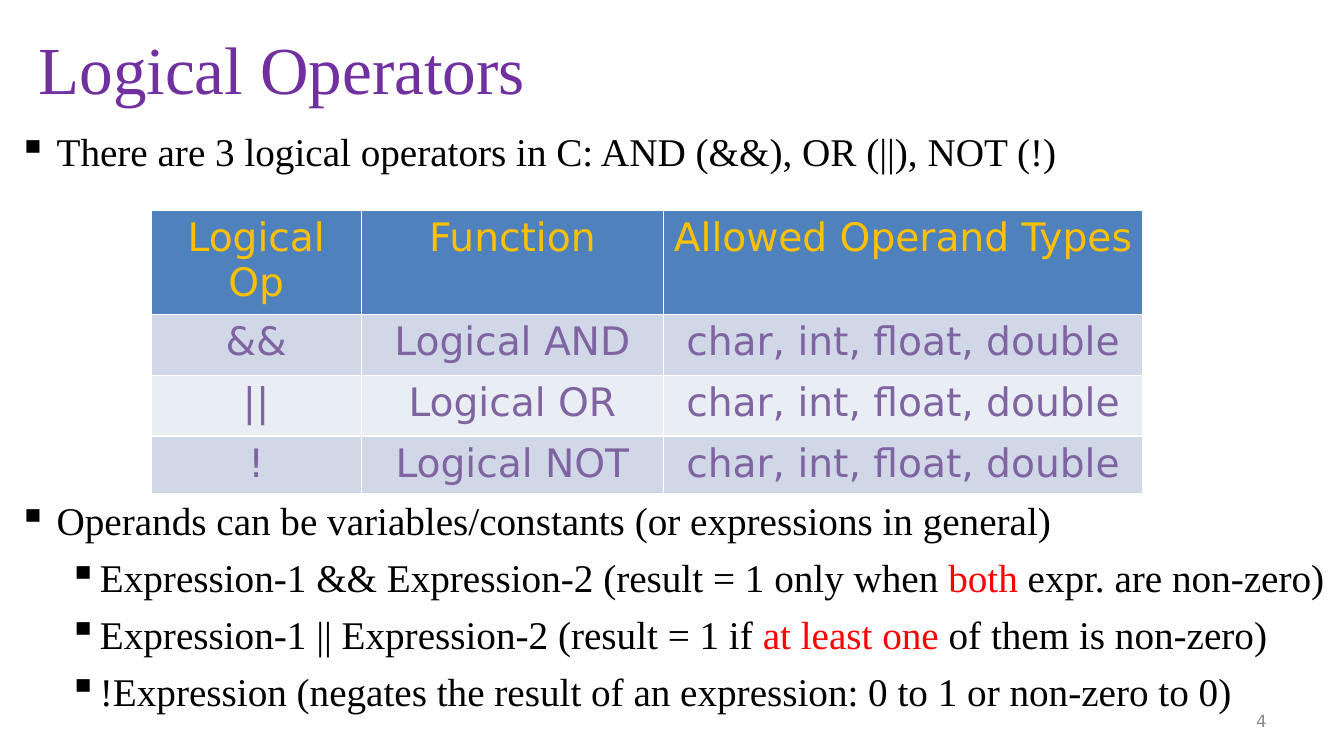
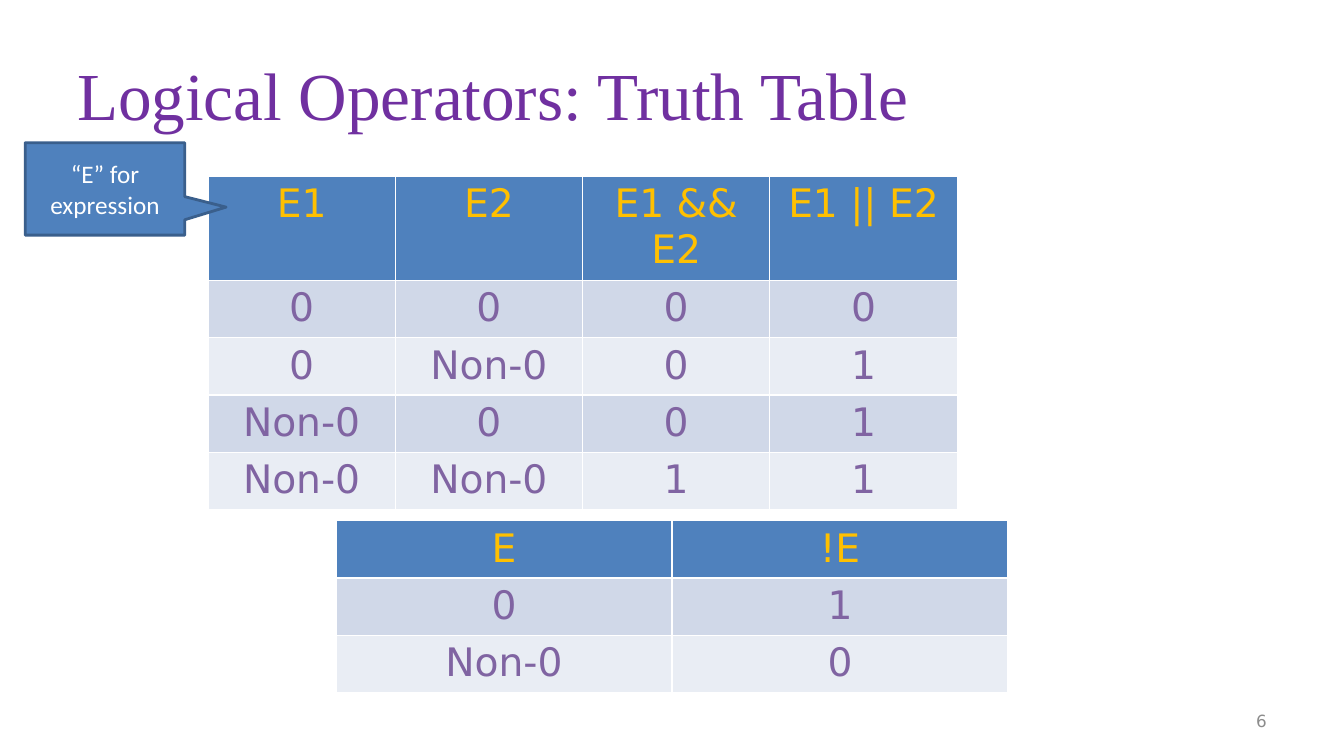
from dataclasses import dataclass
from typing import Sequence

from lxml import etree
from pptx import Presentation
from pptx.dml.color import RGBColor
from pptx.enum import shapes, text
from pptx.oxml import ns
from pptx.util import Emu, Inches, Pt

# Shared look: a grid of 160 columns by 90 rows, colours and fonts
COLUMNS, ROWS, CELLS_PER_INCH = 160, 90, 12
PURPLE, BLACK, RED, GREY, WHITE = "7030A0", "000000", "FF0000", "8C8C8C", "FFFFFF"
BLUE, EDGE_BLUE, GOLD, VIOLET = "4F81BD", "3A5F8C", "FFC000", "8064A2"
BANDS = ("D0D8E8", "E9EDF4")
SERIF, SANS, LABEL = "Times New Roman", "DejaVu Sans", "Calibri"
CENTER, RIGHT = text.PP_ALIGN.CENTER, text.PP_ALIGN.RIGHT
MIDDLE = text.MSO_ANCHOR.MIDDLE


@dataclass(frozen=True)
class Area:
    left: float
    top: float
    width: float
    height: float

    def lengths(self) -> tuple:
        return tuple(map(grid, (self.left, self.top, self.width, self.height)))


@dataclass(frozen=True)
class Style:
    font: str
    size: float
    color: str


@dataclass(frozen=True)
class Grid:
    left: float
    top: float
    widths: Sequence[float]
    heights: Sequence[float]
    entries: Sequence[Sequence[str]]


@dataclass(frozen=True)
class Bullet:
    before: str
    stressed: str = ""
    after: str = ""
    level: int = 0


TITLE = Style(SERIF, 48, PURPLE)
BODY = Style(SERIF, 28, BLACK)
STRESSED = Style(SERIF, 28, RED)
HEADER = Style(SANS, 28, GOLD)
ENTRY = Style(SANS, 28, VIOLET)
NUMBER = Style(SANS, 12, GREY)
CALLOUT = Style(LABEL, 18, WHITE)
INDENTS = ((0.38, -0.38), (0.81, -0.31))  # left margin and hanging, inches
NUMBER_AREA = Area(114.7, 83.4, 37.3, 4.8)


def grid(count: float) -> Emu:
    return Inches(count / CELLS_PER_INCH)


def rgb(color: str) -> RGBColor:
    return RGBColor.from_string(color)


def style_runs(paragraph, style: Style) -> None:
    for run in paragraph.runs:
        run.font.name, run.font.size = style.font, Pt(style.size)
        run.font.bold = False
        run.font.color.rgb = rgb(style.color)


def write(frame, words: str, style: Style, align=None, anchor=None) -> None:
    frame.text = words
    frame.word_wrap = True
    if anchor is not None:
        frame.vertical_anchor = anchor
    for paragraph in frame.paragraphs:
        paragraph.alignment = align
        style_runs(paragraph, style)


def add_line(slide, area: Area, words: str, style: Style, align=None) -> None:
    box = slide.shapes.add_textbox(*area.lengths())
    write(box.text_frame, words, style, align, MIDDLE)


def add_bullets(slide, area: Area, bullets: Sequence[Bullet]) -> None:
    frame = slide.shapes.add_textbox(*area.lengths()).text_frame
    frame.word_wrap = True
    for index, bullet in enumerate(bullets):
        paragraph = frame.add_paragraph() if index else frame.paragraphs[0]
        paragraph.level = bullet.level
        paragraph.space_after = Pt(7)
        for part in filter(None, (bullet.before, bullet.stressed, bullet.after)):
            paragraph.add_run().text = part
        style_runs(paragraph, BODY)
        if bullet.stressed:
            paragraph.runs[1].font.color.rgb = rgb(STRESSED.color)
        margin, hanging = INDENTS[bullet.level]
        properties = paragraph._p.get_or_add_pPr()
        properties.set("marL", str(Inches(margin)))
        properties.set("indent", str(Inches(hanging)))
        etree.SubElement(properties, ns.qn("a:buChar")).set("char", "\u25aa")


def add_borders(cell, color: str, points: float) -> None:
    properties = cell._tc.get_or_add_tcPr()
    for position, side in enumerate(("a:lnL", "a:lnR", "a:lnT", "a:lnB")):
        border = etree.Element(ns.qn(side), w=str(Pt(points)))
        fill = etree.SubElement(border, ns.qn("a:solidFill"))
        etree.SubElement(fill, ns.qn("a:srgbClr")).set("val", color)
        properties.insert(position, border)


def add_grid(slide, spec: Grid) -> None:
    area = Area(spec.left, spec.top, sum(spec.widths), sum(spec.heights))
    table = slide.shapes.add_table(
        len(spec.heights), len(spec.widths), *area.lengths()).table
    for column, width in zip(table.columns, spec.widths):
        column.width = grid(width)
    for index, (row, height) in enumerate(zip(table.rows, spec.heights)):
        row.height = grid(height)
        for cell, words in zip(row.cells, spec.entries[index]):
            write(cell.text_frame, words, ENTRY if index else HEADER, CENTER)
            cell.fill.solid()
            cell.fill.fore_color.rgb = rgb(BANDS[(index - 1) % 2] if index else BLUE)
            add_borders(cell, WHITE, 1)


def add_callout(slide, area: Area, words: str, tip: Sequence[float]) -> None:
    callout = slide.shapes.add_shape(
        shapes.MSO_SHAPE.RECTANGULAR_CALLOUT, *area.lengths())
    callout.shadow.inherit = False
    callout.adjustments[0], callout.adjustments[1] = tip
    callout.fill.solid()
    callout.fill.fore_color.rgb = rgb(BLUE)
    callout.line.color.rgb = rgb(EDGE_BLUE)
    callout.line.width = Pt(2)
    write(callout.text_frame, words, CALLOUT, CENTER, MIDDLE)


def start_slide(deck, title: str, title_area: Area, number: int):
    slide = deck.slides.add_slide(deck.slide_layouts[6])
    add_line(slide, title_area, title, TITLE)
    add_line(slide, NUMBER_AREA, str(number), NUMBER, RIGHT)
    return slide


deck = Presentation()
deck.slide_width, deck.slide_height = grid(COLUMNS), grid(ROWS)

# Logical operators
OPERANDS = "char, int, float, double"
operators = start_slide(deck, "Logical Operators", Area(3.4, 2, 102, 12), 4)
add_grid(operators, Grid(18, 25, (25, 36, 57), (12, 7.25, 7.25, 6.6), (
    ("Logical Op", "Function", "Allowed Operand Types"),
    ("&&", "Logical AND", OPERANDS),
    ("||", "Logical OR", OPERANDS),
    ("!", "Logical NOT", OPERANDS),
)))
add_bullets(operators, Area(1, 14.6, 158, 8), (
    Bullet("There are 3 logical operators in C: AND (&&), OR (||), NOT (!)"),
))
add_bullets(operators, Area(1, 58.5, 158, 28), (
    Bullet("Operands can be variables/constants (or expressions in general)"),
    Bullet("Expression-1 && Expression-2 (result = 1 only when ",
           "both", " expr. are non-zero)", 1),
    Bullet("Expression-1 || Expression-2 (result = 1 if ",
           "at least one ", "of them is non-zero)", 1),
    Bullet("!Expression (negates the result of an expression: "
           "0 to 1 or non-zero to 0)", level=1),
))

# Truth tables
NON_ZERO = "Non-0"
truth = start_slide(
    deck, "Logical Operators: Truth Table", Area(8, 3.6, 144, 15), 6)
add_grid(truth, Grid(24.75, 21, (22.3,) * 4, (12,) + (6.64,) * 4, (
    ("E1", "E2", "E1 && E2", "E1 || E2"),
    ("0", "0", "0", "0"),
    ("0", NON_ZERO, "0", "1"),
    (NON_ZERO, "0", "0", "1"),
    (NON_ZERO, NON_ZERO, "1", "1"),
)))
add_grid(truth, Grid(40, 62, (40,) * 2, (6.64,) * 3, (
    ("E", "!E"),
    ("0", "1"),
    (NON_ZERO, "0"),
)))
add_callout(truth, Area(3, 17, 19, 11), "\u201cE\u201d for expression", (0.759, 0.197))

deck.save("out.pptx")
